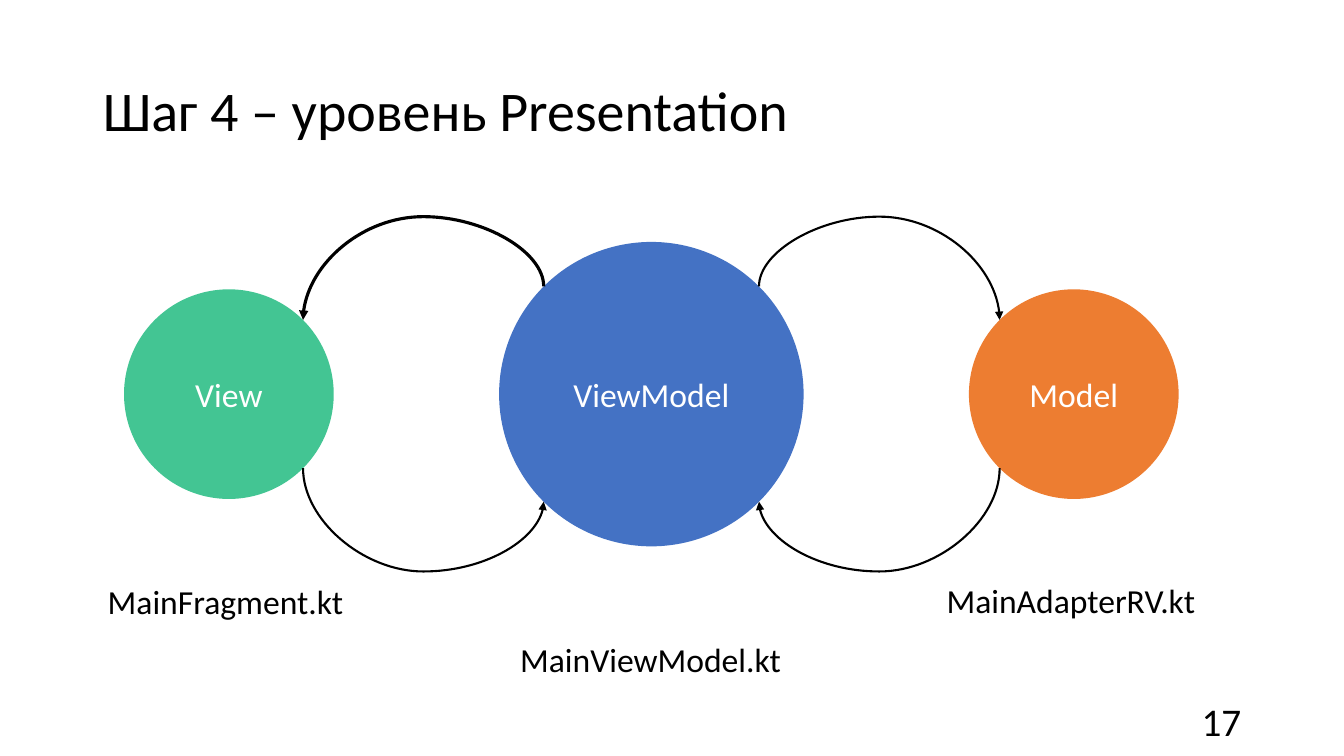
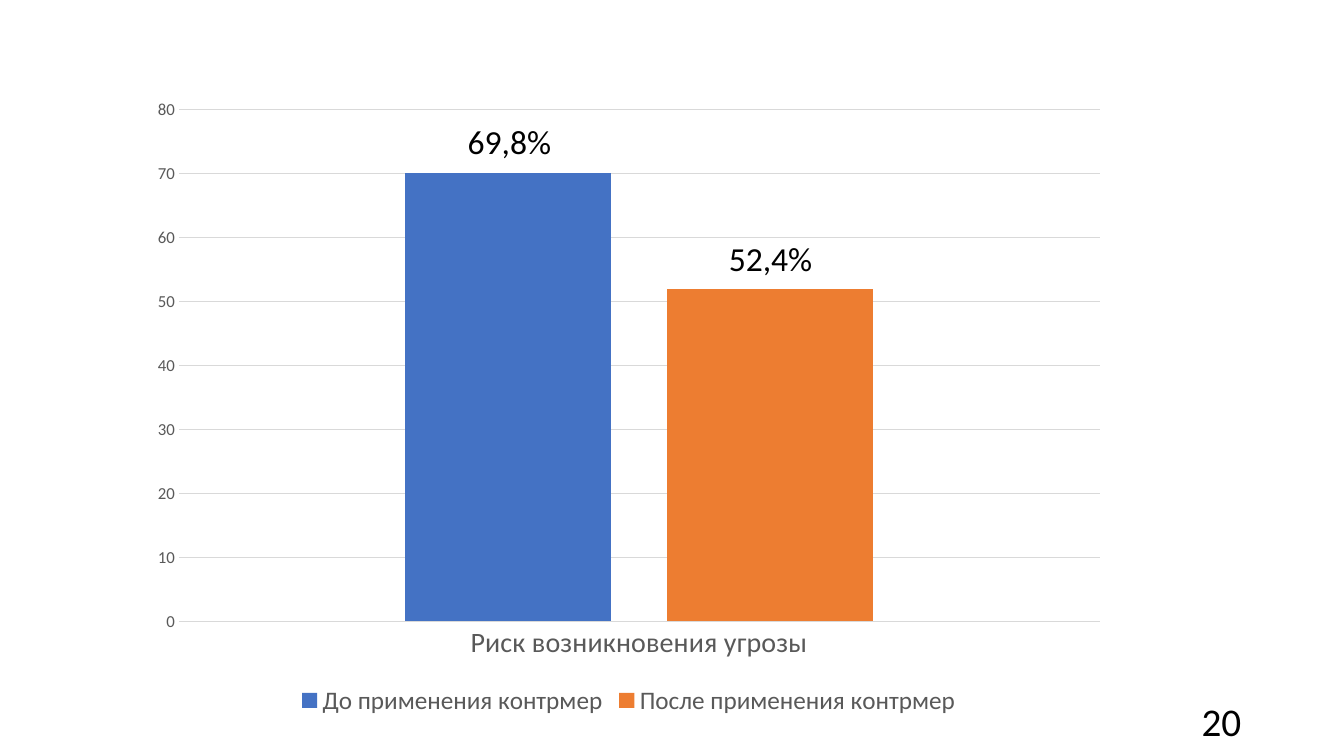
import math
import pptx
import pptx.util
import pptx.chart.data
import pptx.dml.color
import pptx.enum.chart
import pptx.enum.shapes
import pptx.enum.text
import pptx.oxml.ns
from lxml import etree

PX = 9144
FONT = "Calibri"
HUES = {
    "ink": "000000", "paper": "FFFFFF", "green": "43C593",
    "blue": "4472C4", "orange": "ED7D31", "gray": "595959", "grid": "D9D9D9",
}
TITLE = "Шаг 4 – уровень Presentation"
MID = 391
NODES = {
    "View": (227, 104, "green"),
    "ViewModel": (646, 151, "blue"),
    "Model": (1065, 104, "orange"),
}
FILES = [
    ("MainFragment.kt", (97, 571, 259, 50)),
    ("MainViewModel.kt", (506, 629, 281, 50)),
    ("MainAdapterRV.kt", (929, 570, 273, 50)),
]
LINKS = [("View", -1, 2.25), ("View", 1, 1.5), ("Model", -1, 1.5), ("Model", 1, 1.5)]
SITES = {(-1, -1): 1, (-1, 1): 3, (1, 1): 5, (1, -1): 7}
BEND = 308400
RISK = "Риск возникновения угрозы"
BARS = [
    ("До применения контрмер", 70, "blue"),
    ("После применения контрмер", 52, "orange"),
]
MARKS = [("69,8%", (454, 115, 112, 50)), ("52,4%", (713, 231, 112, 50))]


def emu(*sizes):
    return [pptx.util.Emu(round(size * PX)) for size in sizes]


def tint(name):
    return pptx.dml.color.RGBColor.from_string(HUES[name])


def style(font, size, hue="ink"):
    font.name = FONT
    font.size = pptx.util.Pt(size)
    font.bold = False
    font.color.rgb = tint(hue)


def write(shape, text, size, hue="ink", align="LEFT", anchor="MIDDLE", wrap=True):
    frame = shape.text_frame
    frame.word_wrap = wrap
    frame.vertical_anchor = pptx.enum.text.MSO_ANCHOR[anchor]
    frame.text = text
    para = frame.paragraphs[0]
    para.alignment = pptx.enum.text.PP_ALIGN[align]
    style(para.font, size, hue)
    return para


def label(slide, text, box):
    write(slide.shapes.add_textbox(*emu(*box)), text, 24, anchor="TOP", wrap=False)


def start(deck, layout, page):
    slide = deck.slides.add_slide(deck.slide_layouts[layout])
    box = slide.shapes.add_textbox(*emu(941, 695, 300, 40))
    write(box, page, 28, align="RIGHT")
    return slide


def node(slide, text, x, r, hue):
    oval = slide.shapes.add_shape(
        pptx.enum.shapes.MSO_SHAPE.OVAL, *emu(x - r, MID - r, 2 * r, 2 * r))
    oval.shadow.inherit = False
    oval.fill.solid()
    oval.fill.fore_color.rgb = tint(hue)
    oval.line.fill.background()
    write(oval, text, 24, "paper", "CENTER", wrap=False)
    return oval


def add(parent, tag, **attrs):
    return etree.SubElement(parent, pptx.oxml.ns.qn(tag), **attrs)


def rim(name, across, side):
    x, r, _ = NODES[name]
    step = r * math.sqrt(0.5)
    return x + across * step, MID + side * step


def link(slide, ovals, name, side, width):
    hub = "ViewModel"
    across = 1 if NODES[name][0] < NODES[hub][0] else -1
    x1, y1 = rim(name, across, side)
    x2, y2 = rim(hub, -across, side)
    mx, my = (x1 + x2) / 2, (y1 + y2) / 2
    dx, dy = x1 - mx, y1 - my
    turn = 1 if dx * dy < 0 else -1
    u, v = turn * dy, -turn * dx
    line = slide.shapes.add_connector(
        pptx.enum.shapes.MSO_CONNECTOR.CURVE, *emu(mx + u, my + v, mx - u, my - v))
    line.line.color.rgb = tint("ink")
    line.line.width = pptx.util.Pt(width)
    root = line.element
    props = root.spPr
    props.find(pptx.oxml.ns.qn("a:xfrm")).set("rot", str(turn * 90 % 360 * 60000))
    guides = props.find(".//" + pptx.oxml.ns.qn("a:avLst"))
    add(guides, "a:gd", name="adj1", fmla=f"val {BEND}")
    stroke = props.find(pptx.oxml.ns.qn("a:ln"))
    add(stroke, "a:headEnd" if side < 0 else "a:tailEnd", type="triangle")
    add(props, "a:effectLst")
    joint = root.find(".//" + pptx.oxml.ns.qn("p:cNvCxnSpPr"))
    for tag, end, way in (("a:stCxn", name, across), ("a:endCxn", hub, -across)):
        add(joint, tag, id=str(ovals[end].shape_id), idx=str(SITES[way, side]))


def model(deck):
    slide = start(deck, 5, "17")
    title = slide.shapes.title
    title.left, title.top, title.width, title.height = emu(92, 40, 1150, 145)
    write(title, TITLE, 40).line_spacing = 0.9
    ovals = {name: node(slide, name, *data) for name, data in NODES.items()}
    for data in LINKS:
        link(slide, ovals, *data)
    for text, box in FILES:
        label(slide, text, box)


def risk(deck):
    slide = start(deck, 6, "20")
    data = pptx.chart.data.CategoryChartData()
    data.categories = [RISK]
    for name, value, _ in BARS:
        data.add_series(name, [value])
    chart = slide.shapes.add_chart(
        pptx.enum.chart.XL_CHART_TYPE.COLUMN_CLUSTERED,
        *emu(137, 86, 973, 629), data).chart
    style(chart.font, 10)
    chart.has_title = False
    chart.has_legend = True
    chart.legend.position = pptx.enum.chart.XL_LEGEND_POSITION.BOTTOM
    chart.legend.include_in_layout = False
    style(chart.legend.font, 18, "gray")
    plot = chart.plots[0]
    plot.gap_width, plot.overlap = 219, -27
    plot.vary_by_categories = False
    for bar, (_, _, hue) in zip(plot.series, BARS):
        bar.format.fill.solid()
        bar.format.fill.fore_color.rgb = tint(hue)
    cats, vals = chart.category_axis, chart.value_axis
    for axis, size in ((cats, 20), (vals, 12)):
        axis.major_tick_mark = pptx.enum.chart.XL_TICK_MARK.NONE
        axis.minor_tick_mark = pptx.enum.chart.XL_TICK_MARK.NONE
        style(axis.tick_labels.font, size, "gray")
    vals.minimum_scale, vals.maximum_scale, vals.major_unit = 0, 80, 10
    vals.format.line.fill.background()
    vals.has_major_gridlines = True
    for rule in (cats.format.line, vals.major_gridlines.format.line):
        rule.color.rgb = tint("grid")
        rule.width = pptx.util.Pt(0.75)
    for text, box in MARKS:
        label(slide, text, box)


def main():
    deck = pptx.Presentation()
    deck.slide_width, deck.slide_height = emu(1333, 750)
    model(deck)
    risk(deck)
    deck.save("out.pptx")


if __name__ == "__main__":
    main()
